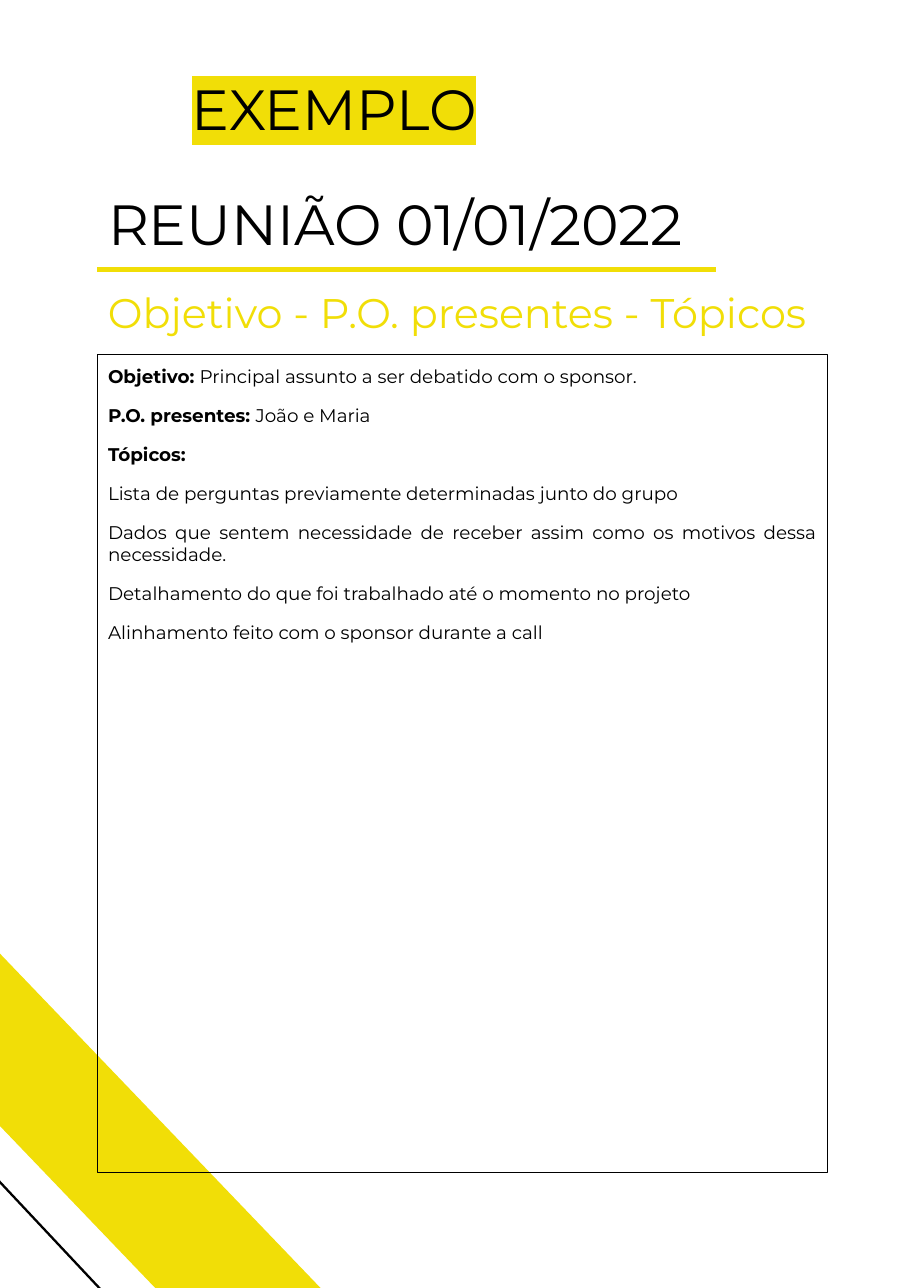
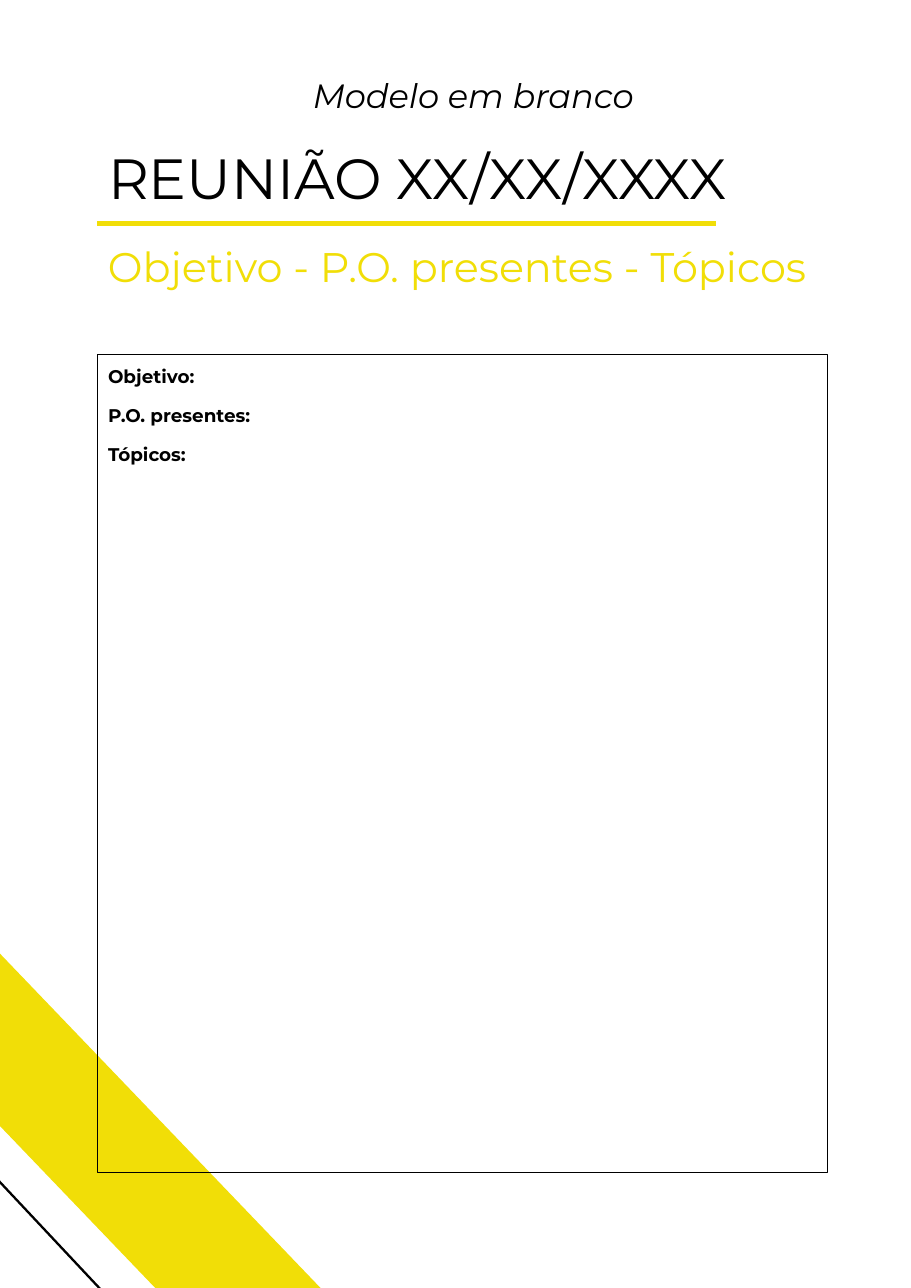
"""Build the meeting-notes pages: a filled example and a blank model."""
from dataclasses import dataclass

from pptx import Presentation
from pptx import util as u
from pptx.dml.color import RGBColor
from pptx.enum import shapes, text
from pptx.oxml import ns, xmlchemy
from pptx.util import Cm


@dataclass(frozen=True)
class Theme:
    font: str = "Montserrat"
    black: str = "000000"
    yellow: str = "F1DE07"
    title: int = 37
    subtitle: int = 27
    note: int = 22
    body: int = 12
    gap: int = 11
    left: float = 2.24
    width: float = 16.84


@dataclass(frozen=True)
class Box:
    left: float
    top: float
    width: float
    height: float

    def lengths(self):
        return [Cm(v) for v in (self.left, self.top, self.width, self.height)]


@dataclass(frozen=True)
class Label:
    text: str
    box: Box
    size: int
    align: text.PP_ALIGN = text.PP_ALIGN.LEFT
    italic: bool = False
    highlight: str = ""


@dataclass(frozen=True)
class Entry:
    heading: str = ""
    detail: str = ""


@dataclass(frozen=True)
class Page:
    title: str
    top: float
    label: Label
    entries: tuple[Entry, ...]


T = Theme()
SUBTITLE = "Objetivo - P.O. presentes - Tópicos"
BODY = Box(T.left, 8.18, T.width, 18.85)
RULE_OFFSET, SUBTITLE_OFFSET = 2.1, 2.26
TITLE_HEIGHT = 2.08

PAGES = (
    Page(
        "REUNIÃO 01/01/2022", 4.11,
        Label("EXEMPLO", Box(4.17, 1.45, T.width, TITLE_HEIGHT), T.title, highlight=T.yellow),
        (
            Entry("Objetivo:", "Principal assunto a ser debatido com o sponsor."),
            Entry("P.O. presentes:", "João e Maria"),
            Entry("Tópicos:"),
            Entry(detail="Lista de perguntas previamente determinadas junto do grupo"),
            Entry(detail="Dados que sentem necessidade de receber assim como os motivos "
                         "dessa necessidade."),
            Entry(detail="Detalhamento do que foi trabalhado até o momento no projeto"),
            Entry(detail="Alinhamento feito com o sponsor durante a call"),
        ),
    ),
    Page(
        "REUNIÃO XX/XX/XXXX", 3.05,
        Label("Modelo em branco", Box(2.49, 1.47, T.width, 1.45), T.note,
              align=text.PP_ALIGN.CENTER, italic=True),
        (Entry("Objetivo:"), Entry("P.O. presentes:"), Entry("Tópicos:")),
    ),
)


def rgb(color: str) -> RGBColor:
    return RGBColor.from_string(color)


def child(parent, tag: str):
    el = xmlchemy.OxmlElement(tag)
    parent.append(el)
    return el


def style(p, size: int, color: str, align: text.PP_ALIGN) -> None:
    p.alignment = align
    p.font.name = T.font
    p.font.size = u.Pt(size)
    p.font.color.rgb = rgb(color)


def place(sp, box: Box, fit: text.MSO_AUTO_SIZE):
    sp.left, sp.top, sp.width, sp.height = box.lengths()
    tf = sp.text_frame
    tf.word_wrap = True
    tf.auto_size = fit
    tf.vertical_anchor = text.MSO_ANCHOR.TOP
    tf.margin_left = tf.margin_right = tf.margin_top = tf.margin_bottom = Cm(0.25)
    return tf


def write_line(sp, label: Label, color: str = T.black) -> None:
    tf = place(sp, label.box, text.MSO_AUTO_SIZE.SHAPE_TO_FIT_TEXT)
    p = tf.paragraphs[0]
    style(p, label.size, color, label.align)
    if label.italic:
        p.font.italic = True
    r = p.add_run()
    r.text = label.text
    if label.highlight:
        mark = child(r.font._element, "a:highlight")
        child(mark, "a:srgbClr").set("val", label.highlight)


def add_text(s, label: Label, color: str = T.black) -> None:
    write_line(s.shapes.add_textbox(*label.box.lengths()), label, color)


def add_line(s, start: tuple[float, float], end: tuple[float, float], color: str, width: float):
    line = s.shapes.add_connector(
        shapes.MSO_CONNECTOR.STRAIGHT, *(Cm(v) for v in start + end))
    line.line.color.rgb = rgb(color)
    line.line.width = u.Pt(width)
    child(line.element.spPr, "a:effectLst")
    return line


def add_corner(s, layout) -> None:
    for ph in list(layout.placeholders)[2:]:
        ph.element.getparent().remove(ph.element)
    stripe = s.shapes.add_shape(
        shapes.MSO_SHAPE.DIAGONAL_STRIPE, *Box(-0.23, 21.75, 7.62, 7.95).lengths())
    stripe.shadow.inherit = False
    stripe.fill.solid()
    stripe.fill.fore_color.rgb = rgb(T.yellow)
    stripe.line.fill.background()
    stripe.rotation = 180
    stripe.element.spPr.find(ns.qn("a:xfrm")).set("flipH", "1")
    edge = add_line(s, (-0.89, 26.31), (3.33, 30.81), T.black, 1.5)
    for sp in (stripe, edge):
        layout.shapes.element.append(sp.element)


def write_entries(sp, entries: tuple[Entry, ...]) -> None:
    tf = place(sp, BODY, text.MSO_AUTO_SIZE.NONE)
    sp.line.color.rgb = rgb(T.black)
    sp.line.width = u.Pt(0.75)
    for i, entry in enumerate(entries):
        p = tf.add_paragraph() if i else tf.paragraphs[0]
        p.space_before = u.Pt(T.gap if i else 0)
        style(p, T.body, T.black, text.PP_ALIGN.JUSTIFY)
        pPr = p._p.get_or_add_pPr()
        pPr.set("marL", "0")
        pPr.set("indent", "0")
        pPr.find(ns.qn("a:defRPr")).addprevious(xmlchemy.OxmlElement("a:buNone"))
        if entry.heading:
            r = p.add_run()
            r.text = entry.heading + (" " if entry.detail else "")
            r.font.bold = True
        if entry.detail:
            p.add_run().text = entry.detail


def add_page(s, page: Page) -> None:
    write_line(s.shapes.title,
               Label(page.title, Box(T.left, page.top, T.width, TITLE_HEIGHT), T.title))
    write_entries(s.placeholders[1], page.entries)
    y = page.top + RULE_OFFSET
    add_line(s, (T.left, y), (16.51, y), T.yellow, 3)
    subtitle_box = Box(T.left, page.top + SUBTITLE_OFFSET, 18.34, 1.68)
    add_text(s, Label(SUBTITLE, subtitle_box, T.subtitle), T.yellow)
    add_text(s, page.label)


def main() -> None:
    prs = Presentation()
    prs.slide_width, prs.slide_height = Cm(21), Cm(29.7)
    layout = prs.slide_layouts[1]
    for i, page in enumerate(PAGES):
        s = prs.slides.add_slide(layout)
        if i == 0:
            add_corner(s, layout)
        add_page(s, page)
    prs.save("out.pptx")


if __name__ == "__main__":
    main()
